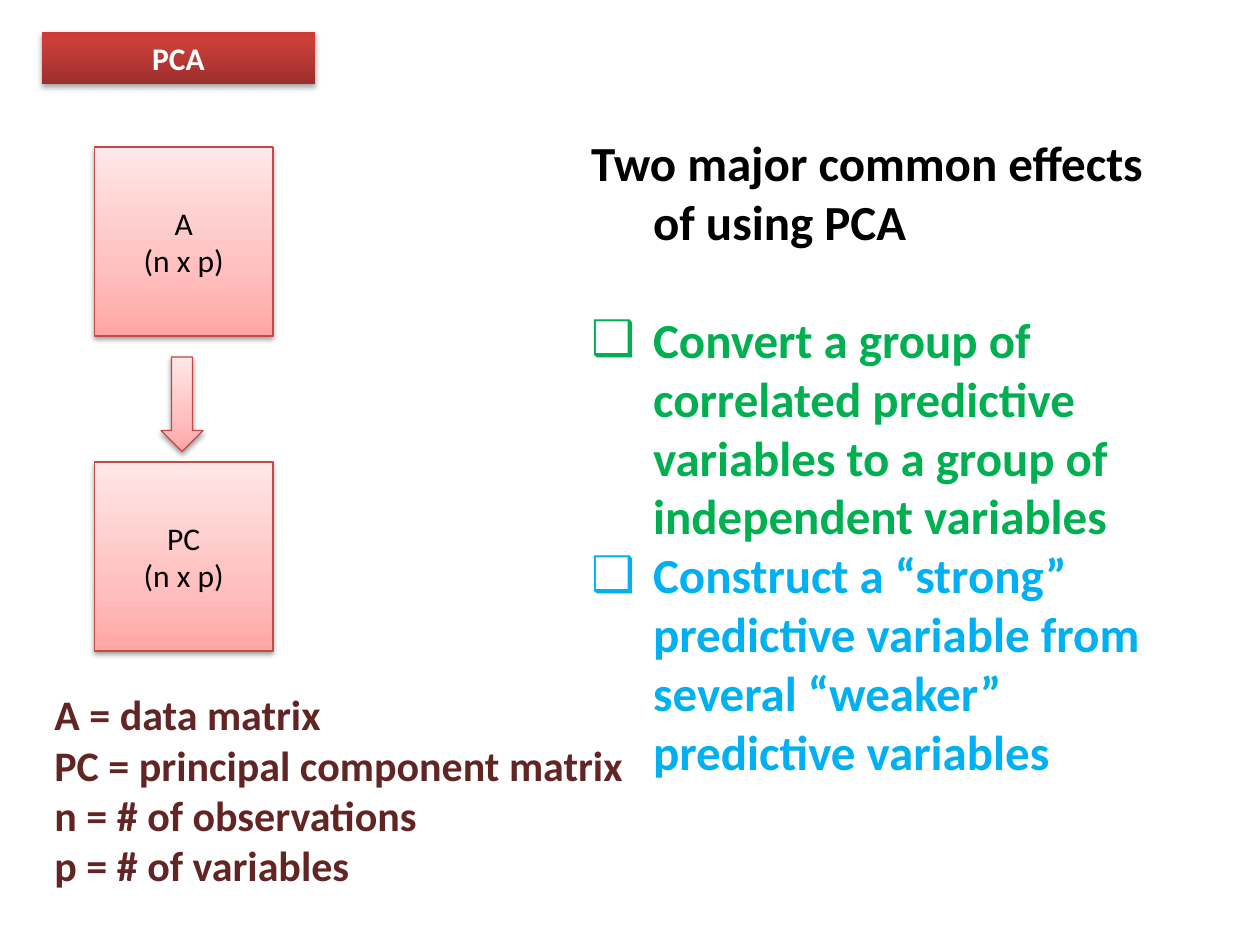
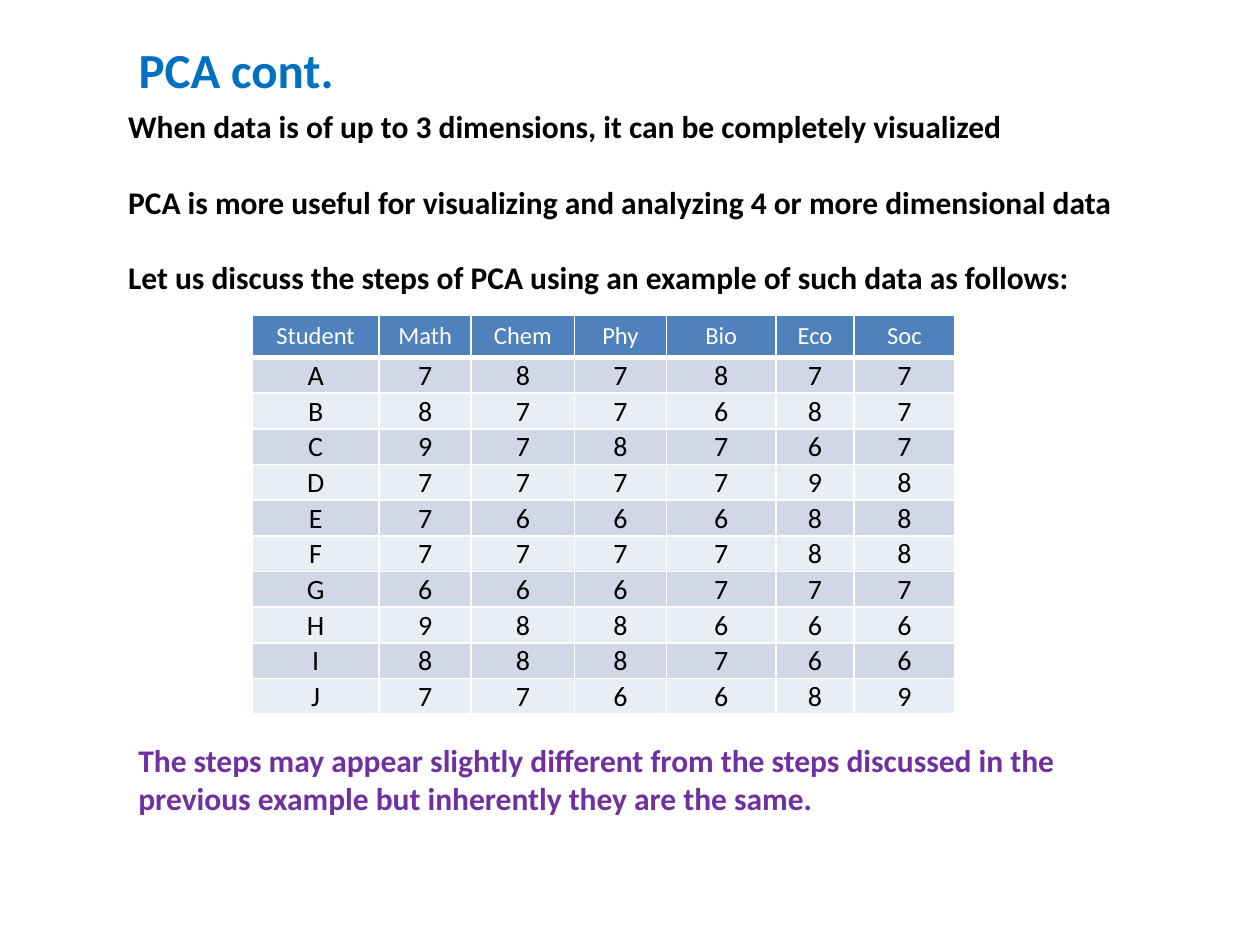
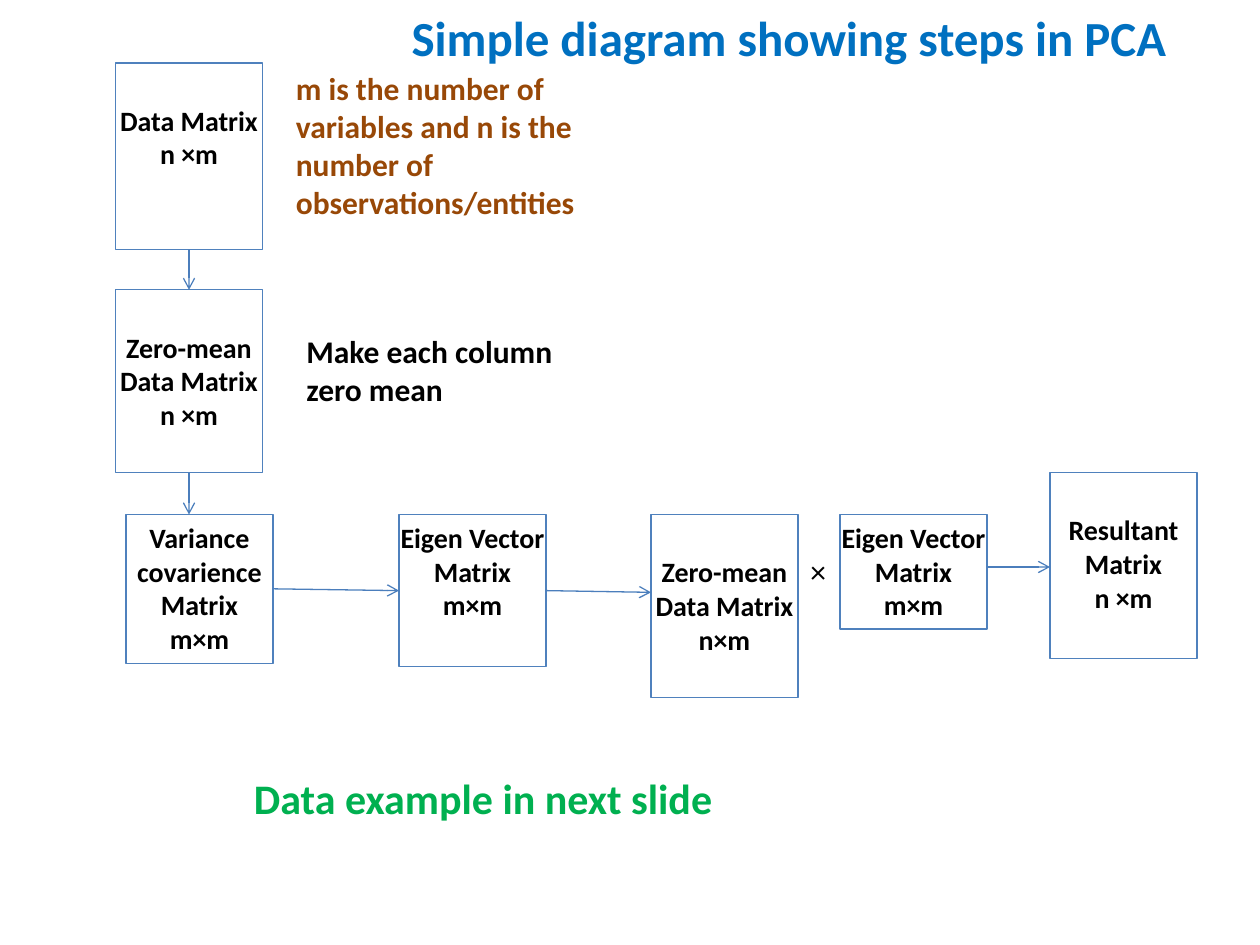
from lxml import etree
from pptx import Presentation
from pptx import util as u
from pptx.dml import color
from pptx.enum import shapes, text
from pptx.oxml import ns

Pt = u.Pt
FONT = "Calibri"
HUES = {
    "black": "000000", "white": "FFFFFF", "blue": "0070C0", "green": "00B050",
    "sky": "00B0F0", "wine": "632523", "purple": "7030A0", "brown": "984807",
    "rose": "BF4C48", "edge": "4F81BD", "link": "4B7EBC", "head": "4F81BD",
    "odd": "D0D8E8", "even": "E9EDF4",
}
PINK = [(0, "FFA6A5"), (35, "FFC0BF"), (100, "FFE7E7")]
RED = [(0, "9C2F2D"), (80, "CB3E3A"), (100, "CE3B37")]
MARKS = """A 7 8 7 8 7 7
B 8 7 7 6 8 7
C 9 7 8 7 6 7
D 7 7 7 7 9 8
E 7 6 6 6 8 8
F 7 7 7 7 8 8
G 6 6 6 7 7 7
H 9 8 8 6 6 6
I 8 8 8 7 6 6
J 7 7 6 6 8 9"""


# Basic helpers
def hue(name):
    return color.RGBColor.from_string(HUES[name])


def add(node, tag, **attrs):
    child = etree.SubElement(node, ns.qn("a:" + tag))
    for key, value in attrs.items():
        child.set(key, str(value))
    return child


def style(para, size, tint, bold):
    for run in para.runs:
        font = run.font
        font.name, font.size, font.bold = FONT, Pt(size), bold
        font.color.rgb = hue(tint)


def write(frame, lines, size, tint="black", bold=True, align="LEFT", gap=0):
    frame.text = "\n".join(lines)
    for i, para in enumerate(frame.paragraphs):
        para.alignment = getattr(text.PP_ALIGN, align)
        para.space_before = Pt(gap if i else 0)
        style(para, size, tint, bold)


def place(shape, box):
    shape.left, shape.top, shape.width, shape.height = map(Pt, box)


def indent(para, left, hang, bullet=None):
    props = para._p.get_or_add_pPr()
    props.set("marL", str(Pt(left)))
    props.set("indent", str(Pt(hang)))
    if bullet:
        add(props, "buChar", char=bullet)
    else:
        add(props, "buNone")


# Text elements
def hold(shape, box, lines, size, anchor="TOP", **look):
    place(shape, box)
    frame = shape.text_frame
    frame.word_wrap = True
    frame.auto_size = text.MSO_AUTO_SIZE.NONE
    frame.vertical_anchor = getattr(text.MSO_ANCHOR, anchor)
    write(frame, lines, size, **look)
    return frame


def title(slide, box, words):
    hold(slide.shapes.title, box, [words], 28, tint="blue")


def note(slide, box, lines, size=18, **look):
    return hold(slide.shapes.add_textbox(0, 0, 0, 0), box, lines, size, **look)


# Shapes
def glow(shape, stops, alpha, dist, edge=None):
    props = shape._element.spPr
    grad = add(props, "gradFill", rotWithShape=1)
    row = add(grad, "gsLst")
    for pos, tone in stops:
        add(add(row, "gs", pos=pos * 1000), "srgbClr", val=tone)
    add(grad, "lin", ang=16200000, scaled=0)
    if edge:
        shape.line.color.rgb, shape.line.width = hue(edge), Pt(0.75)
    else:
        shape.line.fill.background()
    shade = add(add(props, "effectLst"), "outerShdw", blurRad=Pt(3.1),
                dist=Pt(dist), dir=5400000, rotWithShape=0)
    add(add(shade, "srgbClr", val=HUES["black"]), "alpha", val=alpha * 1000)


def badge(slide, box, words):
    shape = slide.shapes.title
    hold(shape, box, [words], 18, "MIDDLE", tint="white", align="CENTER")
    add(add(shape._element.spPr, "prstGeom", prst="roundRect"), "avLst")
    glow(shape, RED, 35, 1.8)


def block(slide, kind, box, lines=()):
    shape = slide.shapes.add_shape(kind, *map(Pt, box))
    glow(shape, PINK, 38, 1.6, "rose")
    if lines:
        hold(shape, box, lines, 18, "MIDDLE", bold=False, align="CENTER")


def step(slide, left, top, high, lines, inset=3.6):
    box = (left, top, 84, high)
    shape = slide.shapes.add_shape(shapes.MSO_SHAPE.RECTANGLE, *map(Pt, box))
    shape.shadow.inherit = False
    shape.fill.background()
    shape.line.color.rgb, shape.line.width = hue("edge"), Pt(0.75)
    frame = hold(shape, box, lines, 16, align="CENTER")
    frame.margin_left = frame.margin_right = 0
    frame.margin_top = Pt(inset)


def arrow(slide, *ends):
    link = slide.shapes.add_connector(shapes.MSO_CONNECTOR.STRAIGHT, *map(Pt, ends))
    link.line.color.rgb, link.line.width = hue("link"), Pt(0.75)
    props = link._element.spPr
    add(props.find(ns.qn("a:ln")), "tailEnd", type="arrow")
    add(props, "effectLst")


# Table
def border(cell, foot):
    props = cell._tc.get_or_add_tcPr()
    for side, width in zip("LRTB", (1, 1, 1, foot)):
        line = add(props, "ln" + side, w=Pt(width))
        add(add(line, "solidFill"), "srgbClr", val=HUES["white"])


def grid(slide, left, top, widths, high, rows):
    frame = slide.shapes.add_table(len(rows), len(widths), Pt(left), Pt(top),
                                   Pt(sum(widths)), Pt(high * len(rows)))
    table = frame.table
    for col, width in zip(table.columns, widths):
        col.width = Pt(width)
    for r, row in enumerate(rows):
        table.rows[r].height = Pt(high)
        for c, word in enumerate(row):
            cell = table.cell(r, c)
            border(cell, 1 if r else 3)
            cell.fill.solid()
            band = ("odd" if r % 2 else "even") if r else "head"
            cell.fill.fore_color.rgb = hue(band)
            cell.vertical_anchor = text.MSO_ANCHOR.MIDDLE
            if r:
                cell.margin_left = cell.margin_right = cell.margin_top = Pt(0.7)
                cell.margin_bottom = 0
            write(cell.text_frame, [word], 16 if r else 14,
                  "black" if r else "white", False, "CENTER")


# Slides
def effects(slide):
    badge(slide, (24, 18, 156, 30), "PCA")
    kinds = shapes.MSO_SHAPE
    for name, top in (("A", 84), ("PC", 264)):
        block(slide, kinds.RECTANGLE, (54, top, 102, 108), [name, "(n x p)"])
    block(slide, kinds.DOWN_ARROW, (92, 204, 24, 54))
    frame = hold(slide.placeholders[1], (294, 72, 384, 380), [
        "Two major common effects of using PCA",
        "Convert a group of correlated predictive variables to a group of independent variables",
        "Construct a “strong” predictive variable from several “weaker” predictive variables",
    ], 28)
    looks = ((None, "black"), ("❑", "green"), ("❑", "sky"))
    for para, (bullet, tint) in zip(frame.paragraphs, looks):
        indent(para, 72, -35.5, bullet)
        style(para, 28, tint, True)
    frame.paragraphs[1].space_before = Pt(34)
    key = note(slide, (24, 390, 342, 124), [
        "A = data matrix", "PC = principal component matrix",
        "n = # of observations", "p = # of variables"], 24, tint="wine")
    key.word_wrap = False


def sample(slide):
    title(slide, (72, 19, 222, 41), "PCA cont.")
    frame = hold(slide.placeholders[1], (66, 57.6, 594, 117), [
        "When data is of up to 3 dimensions, it can be completely visualized",
        "PCA is more useful for visualizing and analyzing 4 or more dimensional data",
        "Let us discuss the steps of PCA using an example of such data as follows:",
    ], 18, gap=21.6)
    for para in frame.paragraphs:
        indent(para, 0, 0)
    heads = "Student Math Chem Phy Bio Eco Soc".split()
    rows = [heads] + [line.split() for line in MARKS.splitlines()]
    grid(slide, 144, 180, (72.7, 52.6, 59, 52.6, 62.6, 44.6, 57.6), 20.4, rows)
    note(slide, (72, 420, 582, 51), [
        "The steps may appear slightly different from the steps discussed in the "
        "previous example but inherently they are the same."], tint="purple")


def steps(slide):
    title(slide, (228, 0.7, 486, 41), "Simple diagram showing steps in PCA")
    low = 23.1
    step(slide, 66, 36, 106.5, ["Data Matrix", "n ×m"], low)
    step(slide, 66, 165.6, 104.4, ["Zero-mean Data Matrix", "n ×m"], low)
    step(slide, 72, 294, 85, ["Variance covarience Matrix", "m×m"])
    step(slide, 228, 294, 87, ["Eigen Vector Matrix", "m×m"])
    step(slide, 372, 294, 104.4, ["Zero-mean Data Matrix", "n×m"], low)
    step(slide, 480, 294, 65.5, ["Eigen Vector Matrix", "m×m"])
    step(slide, 600, 270, 106.5, ["Resultant Matrix", "n ×m"], low)
    for ends in ((108, 142.5, 108, 165.6), (108, 270, 108, 294),
                 (156, 336.5, 228, 337.5), (312, 337.5, 372, 338.5),
                 (564, 324, 600, 324)):
        arrow(slide, *ends)
    note(slide, (456, 312, 18, 29), ["×"], bold=False)
    note(slide, (162, 36, 174, 94), [
        "m is the number of variables and n is the number of observations/entities"],
        tint="brown")
    note(slide, (168, 186, 180, 51), ["Make each column zero mean"])
    note(slide, (138, 438, 324, 36), ["Data example in next slide"], 24, tint="green")


def main():
    deck = Presentation()
    deck.slide_width, deck.slide_height = Pt(720), Pt(540)
    for layout, fill in ((1, effects), (1, sample), (5, steps)):
        fill(deck.slides.add_slide(deck.slide_layouts[layout]))
    deck.save("out.pptx")


if __name__ == "__main__":
    main()
